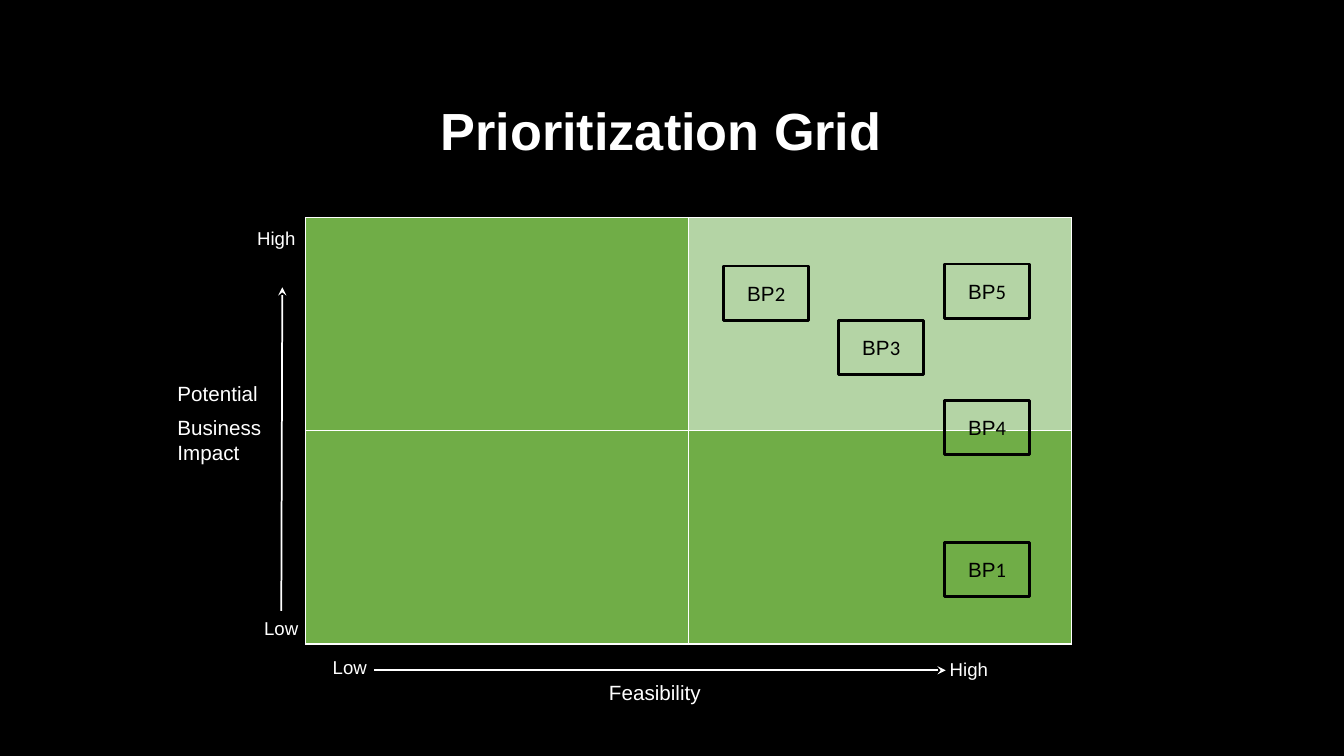
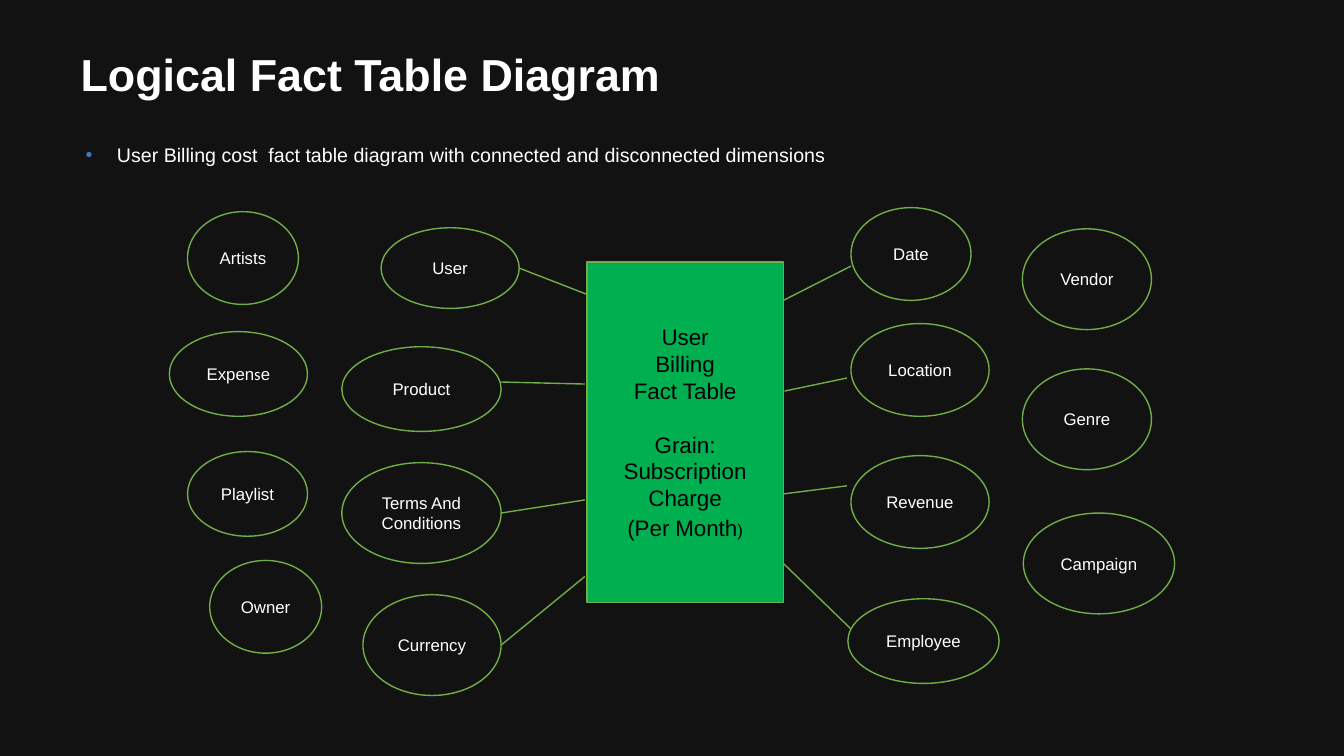
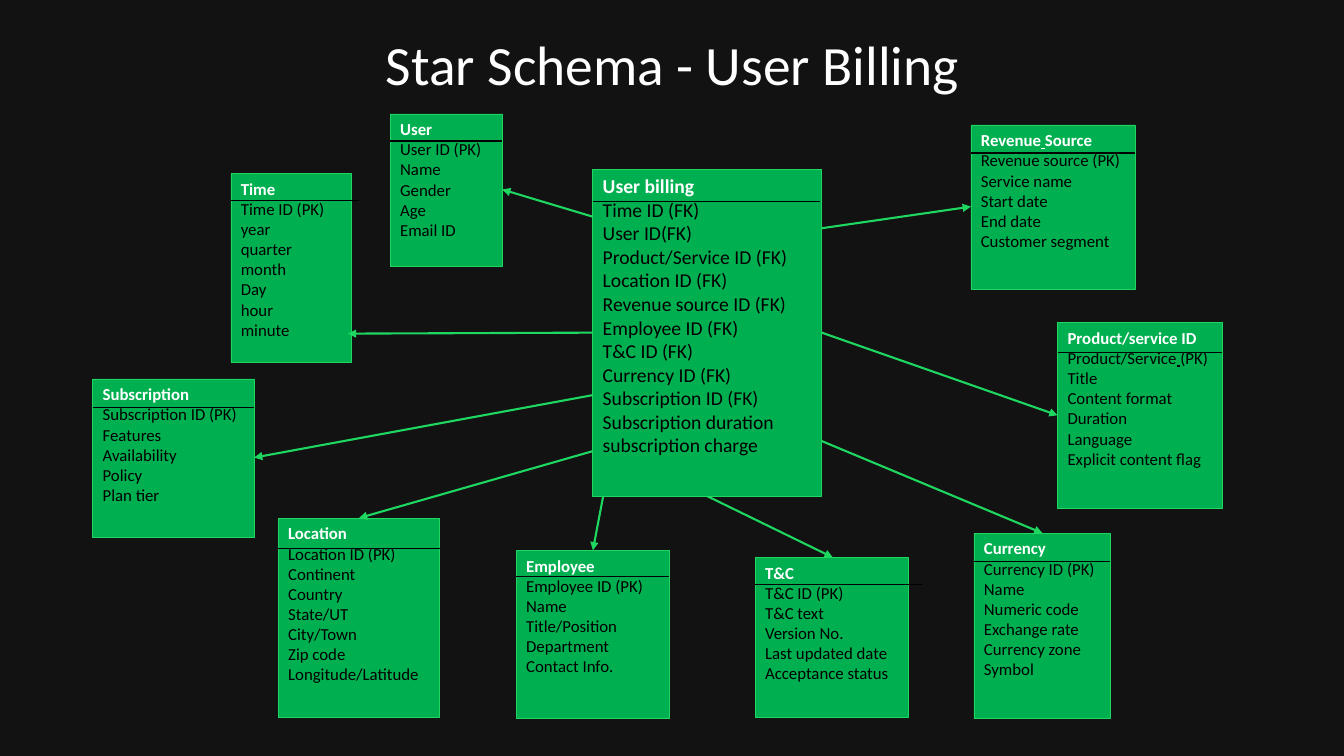
from dataclasses import dataclass, replace
from typing import NamedTuple

from lxml import etree
from pptx import Presentation
from pptx import util as u
from pptx.dml.color import RGBColor
from pptx.enum import shapes, text
from pptx.oxml.ns import qn
from pptx.slide import Slide
from pptx.text.text import TextFrame, _Paragraph as Paragraph

PX = 9144  # one px is a hundredth of an inch
COLORS = {
    "night": "121212", "black": "000000", "white": "FFFFFF", "bullet": "4472C4",
    "leaf": "70AD47", "pale": "B4D4A5", "green": "00B050", "bright": "1ED760",
}
LEFT, CENTER = text.PP_ALIGN.LEFT, text.PP_ALIGN.CENTER
TOP, MIDDLE = text.MSO_ANCHOR.TOP, text.MSO_ANCHOR.MIDDLE
RECT, OVAL = shapes.MSO_SHAPE.RECTANGLE, shapes.MSO_SHAPE.OVAL
WIDE, NARROW = (13, 7), (10, 5)  # text insets: sides, top and bottom


class Area(NamedTuple):
    left: int
    top: int
    width: int
    height: int


class Segment(NamedTuple):
    x1: int
    y1: int
    x2: int
    y2: int


@dataclass(frozen=True)
class Style:
    size: float
    color: str = "white"
    font: str = "Arial"
    bold: bool = False
    underline: bool = False


class Label(NamedTuple):
    words: str
    area: Area
    size: float


class Dimension(NamedTuple):
    name: str
    area: Area


@dataclass(frozen=True)
class Entity:
    name: str
    fields: str
    area: Area
    rule_y: int
    rule_width: int = 0  # 0 means as wide as the box
    rule_weight: float = 1
    underlined_row: int = -1  # row whose first space is underlined
    size: float = 12


# Shared drawing helpers
def px(value: int) -> u.Emu:
    return u.Emu(value * PX)


def rgb(name: str) -> RGBColor:
    return RGBColor.from_string(COLORS[name])


def place(area: Area) -> list[u.Emu]:
    return [px(value) for value in area]


def write(paragraph: Paragraph, *pieces: tuple[str, Style]) -> None:
    for words, style in pieces:
        run = paragraph.add_run()
        run.text = words
        font = run.font
        font.name, font.size = style.font, u.Pt(style.size)
        font.bold, font.underline = style.bold, style.underline
        font.color.rgb = rgb(style.color)


def write_lines(frame: TextFrame, lines: list[list[tuple[str, Style]]], align=LEFT) -> None:
    for row, pieces in enumerate(lines):
        paragraph = frame.add_paragraph() if row else frame.paragraphs[0]
        paragraph.alignment = align
        write(paragraph, *pieces)


def set_frame(frame: TextFrame, anchor=MIDDLE, insets: tuple[int, int] = WIDE) -> None:
    frame.word_wrap = True
    frame.auto_size = text.MSO_AUTO_SIZE.NONE
    frame.vertical_anchor = anchor
    frame.margin_left = frame.margin_right = px(insets[0])
    frame.margin_top = frame.margin_bottom = px(insets[1])


def add_box(slide: Slide, kind, area: Area, fill: str, line: str, weight: float,
            anchor=MIDDLE, insets: tuple[int, int] = WIDE) -> TextFrame:
    shape = slide.shapes.add_shape(kind, *place(area))
    shape.shadow.inherit = False
    if fill:
        shape.fill.solid()
        shape.fill.fore_color.rgb = rgb(fill)
    else:
        shape.fill.background()
    shape.line.color.rgb = rgb(line)
    shape.line.width = u.Pt(weight)
    set_frame(shape.text_frame, anchor, insets)
    return shape.text_frame


def add_line(slide: Slide, segment: Segment, color: str, weight: float, arrow: str = "") -> None:
    line = slide.shapes.add_connector(
        shapes.MSO_CONNECTOR.STRAIGHT, *[px(value) for value in segment])
    line.line.color.rgb = rgb(color)
    line.line.width = u.Pt(weight)
    properties = line.line._get_or_add_ln()
    if arrow:
        etree.SubElement(properties, qn("a:tailEnd"), type=arrow)
    etree.SubElement(properties.getparent(), qn("a:effectLst"))


def set_title(slide: Slide, words: str, area: Area, style: Style, align=CENTER,
              insets: tuple[int, int] = WIDE, spacing: float = 0.9) -> None:
    title = slide.shapes.title
    title.left, title.top, title.width, title.height = place(area)
    set_frame(title.text_frame, insets=insets)
    paragraph = title.text_frame.paragraphs[0]
    paragraph.alignment, paragraph.line_spacing = align, spacing
    write(paragraph, (words, style))


# Slide 1: prioritization grid
AXIS_LABELS = [
    Label("Potential\nBusiness Impact", Area(163, 371, 141, 107), 14.7),
    Label("Feasibility", Area(591, 668, 158, 48), 14.7),
    Label("High", Area(929, 646, 76, 46), 13.3),
    Label("Low", Area(249, 605, 76, 46), 13.3),
    Label("Low", Area(317, 644, 93, 46), 13.3),
    Label("High", Area(242, 218, 76, 46), 13.3),
]
AXES = [Segment(371, 665, 938, 665), Segment(279, 606, 280, 285)]
PROCESSES = {"3": (832, 318), "5": (937, 262), "1": (937, 538), "2": (718, 264), "4": (937, 397)}
QUADRANTS = [["leaf", "pale"], ["leaf", "leaf"]]


def add_quadrants(slide: Slide, area: Area) -> None:
    grid = slide.shapes.add_table(2, 2, *place(area)).table
    for row, fills in enumerate(QUADRANTS):
        for column, fill in enumerate(fills):
            cell = grid.cell(row, column)
            properties = cell._tc.get_or_add_tcPr()
            for side in ("lnL", "lnR", "lnT", "lnB"):
                border = etree.SubElement(properties, qn(f"a:{side}"), w=str(u.Pt(1)))
                solid = etree.SubElement(border, qn("a:solidFill"))
                etree.SubElement(solid, qn("a:srgbClr"), val=COLORS["white"])
            cell.fill.solid()
            cell.fill.fore_color.rgb = rgb(fill)


def build_grid(slide: Slide) -> None:
    slide.background.fill.solid()
    slide.background.fill.fore_color.rgb = rgb("black")
    set_title(slide, "Prioritization Grid", Area(71, 72, 1170, 121), Style(37.3, bold=True))
    for axis in AXES:
        add_line(slide, axis, "white", 1.25, "stealth")
    for label in AXIS_LABELS:
        frame = slide.shapes.add_textbox(*place(label.area)).text_frame
        set_frame(frame, TOP)
        write_lines(frame, [[(line, Style(label.size))] for line in label.words.split("\n")])
        for paragraph in frame.paragraphs[1:]:
            paragraph.space_before = u.Pt(6.7)
    add_quadrants(slide, Area(303, 216, 760, 423))
    process = Style(14.7, "black")
    for number, (left, top) in PROCESSES.items():
        frame = add_box(slide, RECT, Area(left, top, 84, 54), "", "black", 2)
        write_lines(frame, [[("BP", process), (number, replace(process, font="Calibri"))]], CENTER)


# Slide 2: fact table and its dimensions
DIMENSIONS = [
    Dimension("Expense", Area(168, 329, 137, 84)),
    Dimension("Revenue", Area(844, 452, 137, 92)),
    Dimension("Playlist", Area(186, 448, 119, 84)),
    Dimension("Terms And Conditions", Area(339, 459, 158, 100)),
    Dimension("Product", Area(339, 344, 158, 84)),
    Dimension("Employee", Area(841, 594, 150, 84)),
    Dimension("Genre", Area(1014, 366, 128, 100)),
    Dimension("Date", Area(844, 206, 119, 92)),
    Dimension("Currency", Area(360, 590, 137, 100)),
    Dimension("Campaign", Area(1015, 509, 150, 100)),
    Dimension("Location", Area(844, 321, 137, 92)),
    Dimension("User", Area(378, 226, 137, 80)),
    Dimension("Artists", Area(186, 210, 110, 92)),
    Dimension("Owner", Area(208, 556, 111, 92)),
    Dimension("Vendor", Area(1014, 227, 128, 100)),
]
SPOKES = [
    Segment(497, 379, 580, 381), Segment(515, 266, 582, 292),
    Segment(497, 509, 580, 496), Segment(497, 640, 580, 572),
    Segment(778, 388, 840, 375), Segment(777, 298, 844, 264),
    Segment(777, 490, 840, 482), Segment(777, 559, 844, 624),
]
FACT_LINES = ["User", "Billing", "Fact Table", "Grain:", "Subscription Charge"]


def add_summary(slide: Slide, words: str) -> None:
    body = slide.placeholders[1]
    body.left, body.top, body.width, body.height = place(Area(56, 123, 1200, 49))
    set_frame(body.text_frame, TOP)
    paragraph = body.text_frame.paragraphs[0]
    properties = paragraph._p.get_or_add_pPr()
    properties.set("marL", str(px(47)))
    properties.set("indent", str(px(-31)))
    bullet_color = etree.SubElement(properties, qn("a:buClr"))
    etree.SubElement(bullet_color, qn("a:srgbClr"), val=COLORS["bullet"])
    etree.SubElement(properties, qn("a:buFont"), typeface="Arial")
    etree.SubElement(properties, qn("a:buChar"), char="•")
    paragraph.line_spacing, paragraph.space_before = 1.5, u.Pt(0)
    write(paragraph, (words, Style(14)))


def build_fact_diagram(slide: Slide) -> None:
    set_title(slide, "Logical Fact Table Diagram", Area(67, 30, 1189, 87),
              Style(32, bold=True), LEFT, spacing=1)
    add_summary(
        slide, "User Billing cost  fact table diagram with connected and disconnected dimensions")

    # Fact table in the centre
    fact = Style(16, "black")
    frame = add_box(slide, RECT, Area(582, 260, 195, 338), "green", "leaf", 1)
    grain = [("(Per", fact), (" ", Style(18, "black", "Calibri")),
             ("Month", fact), (")", Style(12, "black"))]
    write_lines(frame, [[(line, fact)] for line in FACT_LINES] + [grain], CENTER)
    frame.paragraphs[FACT_LINES.index("Grain:")].space_before = u.Pt(19)

    # Dimensions around it
    plain = Style(12)
    for dimension in DIMENSIONS:
        frame = add_box(slide, OVAL, dimension.area, "", "leaf", 1)
        pieces = [(dimension.name, plain)]
        if dimension.name == "Expense":
            pieces = [("Expen", plain), ("s", replace(plain, font="Calibri")), ("e", plain)]
        write_lines(frame, [pieces], CENTER)
    for spoke in SPOKES:
        add_line(slide, spoke, "leaf", 1)


# Slide 3: star schema
ENTITIES = [
    Entity("Time", "Time ID (PK)\nyear\nquarter\nmonth\nDay\nhour\nminute",
           Area(229, 172, 119, 188), 199, 127),
    Entity("Product/service ID",
           "Product/Service (PK)\nTitle\nContent format\nDuration\nLanguage\nExplicit content flag",
           Area(1049, 320, 163, 184), 350, underlined_row=1),
    Entity("Revenue Source",
           "Revenue source (PK)\nService name\nStart date\nEnd date\nCustomer segment",
           Area(963, 124, 163, 163), 152, underlined_row=0),
    Entity("Location",
           "Location ID (PK)\nContinent\nCountry\nState/UT\nCity/Town\nZip code\nLongitude/Latitude",
           Area(276, 514, 160, 198), 544),
    Entity("User", "User ID (PK)\nName\nGender\nAge\nEmail ID",
           Area(387, 113, 111, 151), 140, rule_weight=1.5),
    Entity("Subscription", "Subscription ID (PK)\nFeatures\nAvailability\nPolicy\nPlan tier",
           Area(92, 376, 160, 157), 404),
    Entity("Currency",
           "Currency ID (PK)\nName\nNumeric code\nExchange rate\nCurrency zone\nSymbol",
           Area(966, 529, 135, 184), 557),
    Entity("T&C", "T&C ID (PK)\nT&C text\nVersion No.\nLast updated date\nAcceptance status",
           Area(749, 553, 152, 159), 580, 165),
    Entity("Employee", "Employee ID (PK)\nName\nTitle/Position\nDepartment\nContact Info.",
           Area(512, 546, 152, 167), 572),
]
BILLING = Entity(
    "User billing",
    "Time ID (FK)\nUser ID(FK)\nProduct/Service ID (FK)\nLocation ID (FK)\n"
    "Revenue source ID (FK)\nEmployee ID (FK)\nT&C ID (FK)\nCurrency ID (FK)\n"
    "Subscription ID (FK)\nSubscription duration\nsubscription charge",
    Area(588, 168, 227, 324), 200, 225, size=14)
RELATIONS = [
    Segment(588, 330, 345, 331), Segment(588, 392, 252, 454), Segment(588, 215, 498, 188),
    Segment(749, 236, 963, 205), Segment(815, 330, 1049, 412), Segment(590, 447, 356, 514),
    Segment(600, 483, 588, 546), Segment(701, 492, 826, 553), Segment(749, 410, 1034, 529),
]


def add_entity(slide: Slide, entity: Entity) -> None:
    frame = add_box(slide, RECT, entity.area, "green", "bright", 0.5, TOP, NARROW)
    heading = Style(entity.size, "white", "Calibri", bold=True)
    field = Style(entity.size, "black", "Calibri")
    lines = [[(entity.name, heading)]] + [[(name, field)] for name in entity.fields.split("\n")]
    if entity.underlined_row >= 0:
        words, style = lines[entity.underlined_row][0]
        before, space, after = words.partition(" ")
        underlined = replace(style, bold=True, underline=True)
        lines[entity.underlined_row] = [(before, style), (space, underlined), (after, style)]
    write_lines(frame, lines)
    left, y = entity.area.left, entity.rule_y
    right = left + (entity.rule_width or entity.area.width)
    add_line(slide, Segment(left, y, right, y), "black", entity.rule_weight)


def build_star_schema(slide: Slide) -> None:
    set_title(slide, "Star Schema - User Billing", Area(92, 30, 1150, 73),
              Style(39.6, font="Calibri"), insets=NARROW)
    for entity in ENTITIES:
        add_entity(slide, entity)
    for relation in RELATIONS:
        add_line(slide, relation, "bright", 1.5, "triangle")
    add_entity(slide, BILLING)


def main() -> None:
    deck = Presentation()
    deck.slide_width, deck.slide_height = u.Inches(13.33), u.Inches(7.5)
    backdrop = deck.slide_master.background.fill
    backdrop.solid()
    backdrop.fore_color.rgb = rgb("night")
    title_and_body, title_only = deck.slide_layouts[1], deck.slide_layouts[5]
    build_grid(deck.slides.add_slide(title_only))
    build_fact_diagram(deck.slides.add_slide(title_and_body))
    build_star_schema(deck.slides.add_slide(title_only))
    deck.save("out.pptx")


if __name__ == "__main__":
    main()
